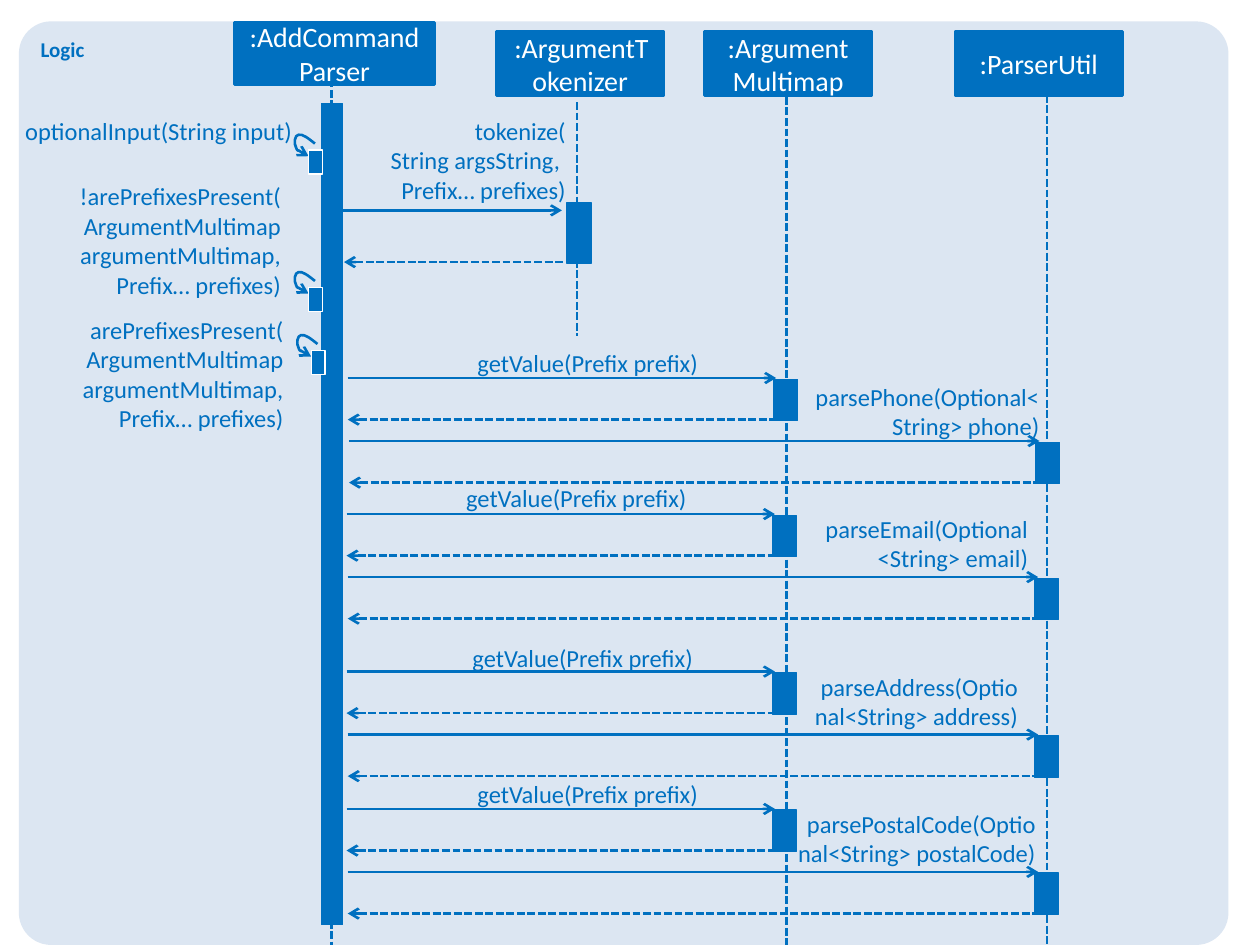
from dataclasses import dataclass

from lxml import etree
from pptx import Presentation
from pptx.dml.color import RGBColor
from pptx.enum.dml import MSO_LINE
from pptx.enum.shapes import MSO_CONNECTOR, MSO_SHAPE
from pptx.enum.text import MSO_ANCHOR, MSO_AUTO_SIZE, PP_ALIGN
from pptx.oxml.ns import qn
from pptx.util import Inches, Pt

RECT, ROUNDED = MSO_SHAPE.RECTANGLE, MSO_SHAPE.ROUNDED_RECTANGLE
STRAIGHT = MSO_CONNECTOR.STRAIGHT
DASH = MSO_LINE.SQUARE_DOT
LEFT, CENTER, RIGHT = PP_ALIGN.LEFT, PP_ALIGN.CENTER, PP_ALIGN.RIGHT
TOP, MIDDLE = MSO_ANCHOR.TOP, MSO_ANCHOR.MIDDLE
GROW = MSO_AUTO_SIZE.SHAPE_TO_FIT_TEXT


@dataclass(frozen=True)
class Theme:
    font: str = "Calibri"
    blue: RGBColor = RGBColor(0x00, 0x70, 0xC0)
    pale: RGBColor = RGBColor(0xDC, 0xE6, 0xF2)
    white: RGBColor = RGBColor(0xFF, 0xFF, 0xFF)
    title: Pt = Pt(12)
    participant: Pt = Pt(16)
    message: Pt = Pt(14)
    stroke: Pt = Pt(1.5)
    thin: Pt = Pt(0.75)


theme = Theme()
prs = Presentation()
prs.slide_width, prs.slide_height = Inches(10), Inches(7.5)
shapes = prs.slides.add_slide(prs.slide_layouts[6]).shapes


def write(frame, lines, size, color, align, bold=False):
    frame.word_wrap = True
    for i, line in enumerate(lines):
        paragraph = frame.paragraphs[0] if i == 0 else frame.add_paragraph()
        paragraph.alignment = align
        run = paragraph.add_run()
        run.text = line
        run.font.name, run.font.size, run.font.bold = theme.font, size, bold
        run.font.color.rgb = color


def link(x1, y1, x2, y2, dashed=False, arrow_end=None):
    """Draw a line; arrow_end is a:headEnd (start), a:tailEnd (finish) or None."""
    line = shapes.add_connector(STRAIGHT, Inches(x1), Inches(y1), Inches(x2), Inches(y2))
    line.line.color.rgb = theme.blue
    line.line.width = theme.stroke
    if dashed:
        line.line.dash_style = DASH
    if arrow_end:
        etree.SubElement(line.line._get_or_add_ln(), qn(arrow_end), type="arrow")
    etree.SubElement(line._element.spPr, qn("a:effectLst"))


# Background panel
panel = shapes.add_shape(ROUNDED, Inches(0.15), Inches(0.17), Inches(9.6), Inches(7.33))
panel.adjustments[0] = 0.035
panel.shadow.inherit = False
panel.fill.solid()
panel.fill.fore_color.rgb = theme.pale
panel.line.fill.background()
panel.text_frame.vertical_anchor = TOP
write(panel.text_frame, ["Logic"], theme.title, theme.blue, LEFT, bold=True)

# Lifelines: x, top, bottom
for x, top, bottom in [(2.63, 0.63, 7.5), (4.58, 0.81, 2.67),
                       (6.24, 0.77, 7.5), (8.31, 0.67, 7.5)]:
    link(x, top, x, bottom, dashed=True)

# Participants: name, left, top, width, height
participants = [
    (":AddCommandParser", 1.86, 0.18, 1.59, 0.49),
    (":ArgumentTokenizer", 3.94, 0.25, 1.33, 0.51),
    (":ArgumentMultimap", 5.59, 0.25, 1.33, 0.51),
    (":ParserUtil", 7.58, 0.25, 1.33, 0.51),
]
for name, *box in participants:
    participant = shapes.add_shape(RECT, *map(Inches, box))
    participant.shadow.inherit = False
    participant.fill.solid()
    participant.fill.fore_color.rgb = theme.blue
    participant.line.color.rgb = theme.blue
    participant.line.width = theme.stroke
    participant.text_frame.vertical_anchor = MIDDLE
    write(participant.text_frame, [name], theme.participant, theme.white, CENTER)

# Parsing rounds: y of the first call, shift, left and top of getValue,
# parse message with its left, top and width
rounds = [
    (3.00, 0.01, 2.92, 2.76, "parsePhone(Optional<String> phone)", 6.42, 3.03, 1.83),
    (4.08, 0, 2.83, 3.83, "parseEmail(Optional<String> email)", 6.51, 4.08, 1.65),
    (5.33, 0, 2.88, 5.10, "parseAddress(Optional<String> address)", 6.43, 5.33, 1.65),
    (6.42, 0, 2.92, 6.18, "parsePostalCode(Optional<String> postalCode)", 6.33, 6.42, 1.89),
]
present_lines = ["arePrefixesPresent(", "ArgumentMultimap argumentMultimap,", "Prefix… prefixes)"]

# Bars: left, top, width, height, outline
bars = [(2.55, 0.82, 0.17, 6.52, theme.blue), (4.5, 1.61, 0.19, 0.48, theme.blue)]
# Exchanges: from x, to x, call y, return y, return shift
exchanges = [(2.71, 4.46, 1.67, 2.08, 0.02)]
# Messages: lines, left, top, width, height
messages = [
    (["tokenize(", "String argsString, ", "Prefix… prefixes)"], 3, 0.92, 1.49, 0.71),
    (["optionalInput(String input)"], 0, 0.92, 2.32, 0.24),
    (["!" + present_lines[0]] + present_lines[1:], 0.3, 1.44, 1.93, 0.94),
    (present_lines, 0.32, 2.5, 1.93, 0.94),
]
for y, shift, get_left, get_top, parse, parse_left, parse_top, parse_width in rounds:
    bars += [(6.13 + shift, y + 0.01, 0.19, 0.33, theme.blue),
             (8.21 + shift, y + 0.51, 0.19, 0.33, theme.blue)]
    exchanges += [(2.75 + shift, 6.15 + shift, y, y + 0.33, 0),
                  (2.76 + shift, 8.24 + shift, y + 0.5, y + 0.83, 0)]
    messages += [(["getValue(Prefix prefix)"], get_left, get_top, 2.62, 0.24),
                 ([parse], parse_left, parse_top, parse_width, 0.47)]

# Self calls: a curved arrow of two Bezier pieces, offset from the first one
loop_start = (2.45, 1.24)
loop_controls = [(2.41, 1.22), (2.36, 1.2), (2.35, 1.17),
                 (2.33, 1.14), (2.34, 1.07), (2.37, 1.07),
                 (2.4, 1.06), (2.45, 1.1), (2.5, 1.14)]
for dx, dy in [(0, 0), (0, 1.09), (0.02, 1.59)]:
    bars.append((2.45 + dx, 1.19 + dy, 0.11, 0.19, theme.white))
    builder = shapes.build_freeform(Inches(loop_start[0] + dx), Inches(loop_start[1] + dy))
    builder.add_line_segments([(Inches(x + dx), Inches(y + dy)) for x, y in loop_controls],
                              close=False)
    loop = builder.convert_to_shape()
    segments = list(loop._element.iter(qn("a:lnTo")))
    for i in range(0, len(segments), 3):
        curve = etree.SubElement(segments[i].getparent(), qn("a:cubicBezTo"))
        for segment in segments[i:i + 3]:
            curve.append(segment[0])
            segment.getparent().remove(segment)
    loop.shadow.inherit = False
    loop.fill.background()
    loop.line.color.rgb = theme.blue
    loop.line.width = theme.stroke
    etree.SubElement(loop.line._get_or_add_ln(), qn("a:headEnd"), type="arrow")

for *box, outline in bars:
    bar = shapes.add_shape(RECT, *map(Inches, box))
    bar.shadow.inherit = False
    bar.fill.solid()
    bar.fill.fore_color.rgb = theme.blue
    bar.line.color.rgb = outline
    bar.line.width = theme.thin

for start, end, call_y, return_y, shift in exchanges:
    link(start, call_y, end, call_y, arrow_end="a:tailEnd")
    link(start + shift, return_y, end + shift, return_y, dashed=True, arrow_end="a:headEnd")

for lines, *box in messages:
    frame = shapes.add_textbox(*map(Inches, box)).text_frame
    frame.margin_left = frame.margin_right = frame.margin_top = frame.margin_bottom = 0
    frame.auto_size = GROW
    write(frame, lines, theme.message, theme.blue, RIGHT)

prs.save("out.pptx")
